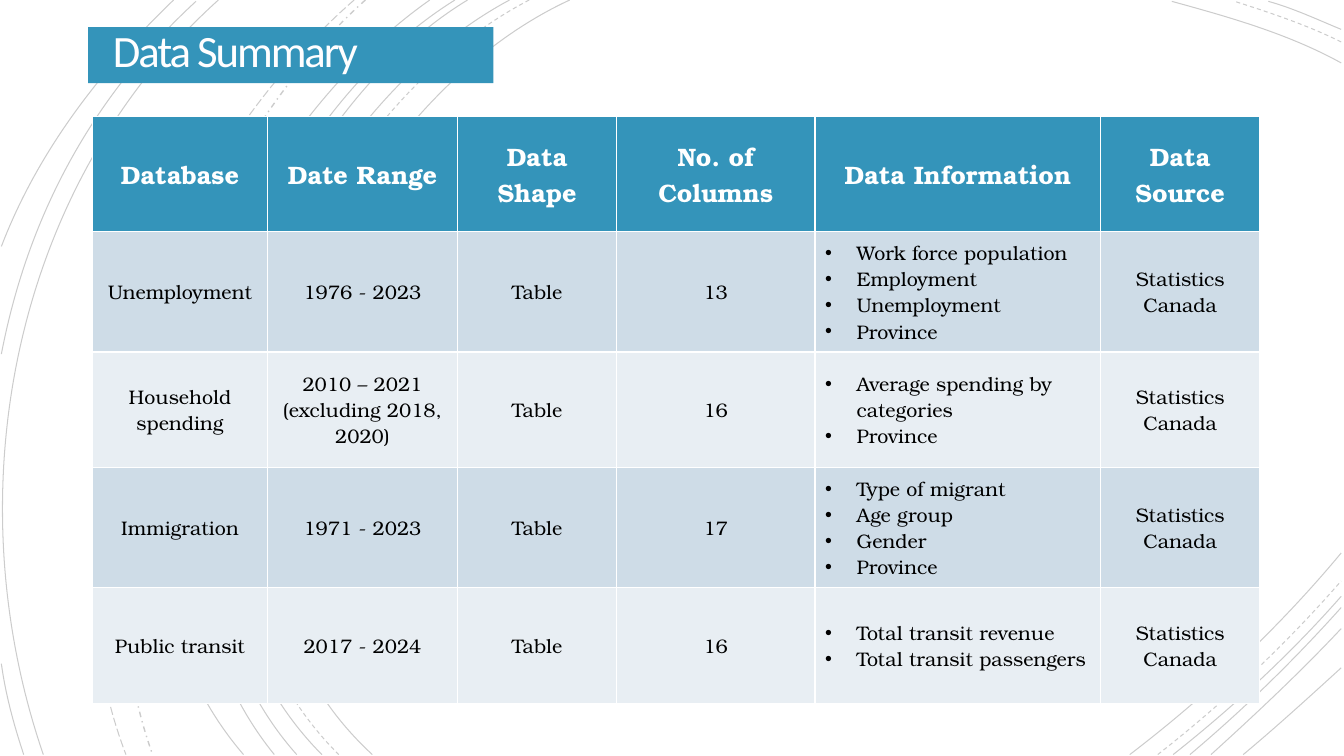
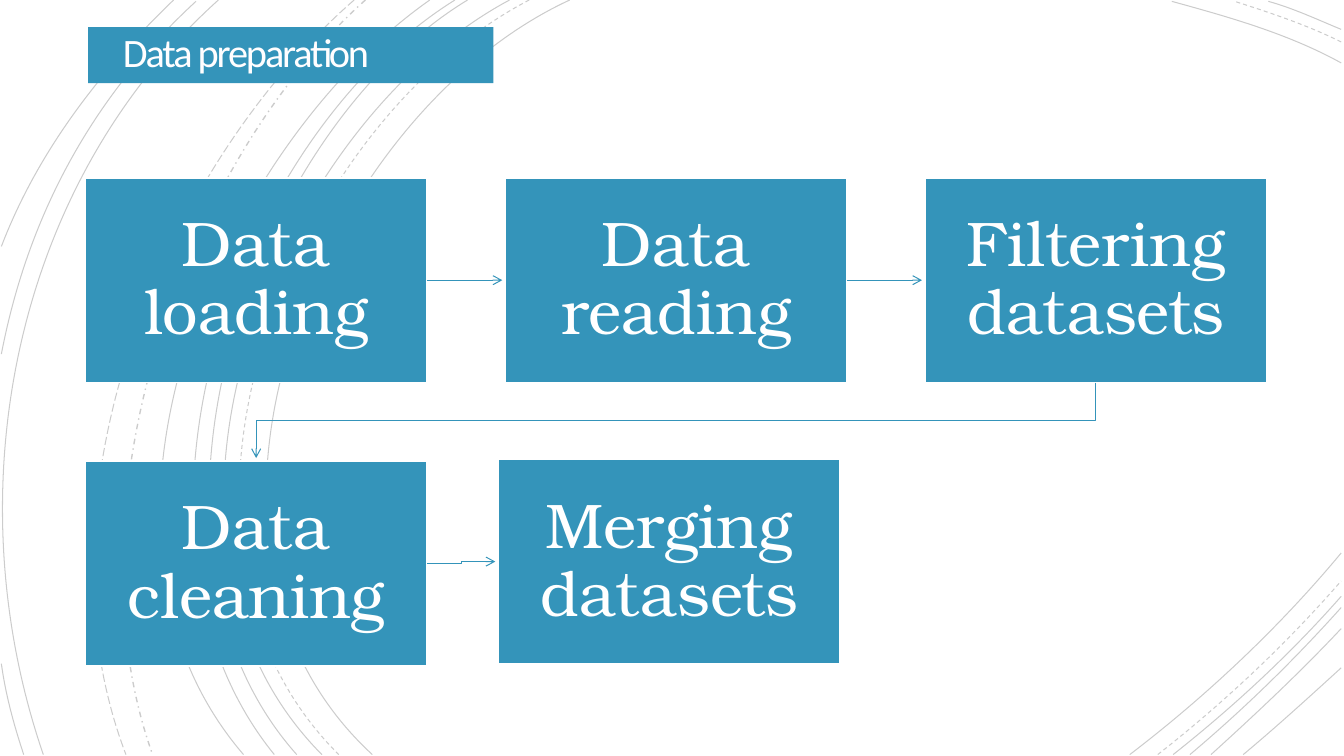
from pptx import Presentation
from pptx import util as u
from pptx.dml.color import RGBColor
from pptx.enum import dml, shapes, text
from pptx.oxml.ns import qn
from lxml import etree

Pt = u.Pt
HUE = {"blue": "3494BA", "white": "FFFFFF", "title": "FFFEFF", "black": "000000",
       "dark": "CEDCE7", "light": "E8EEF3"}
RGB = {name: RGBColor.from_string(code) for name, code in HUE.items()}
SERIF = "TeX Gyre Bonum"
SANS = "Calibri"


def sub(root, tag, **attrs):
    node = etree.SubElement(root, qn(tag))
    for key, val in attrs.items():
        node.set(key, str(val))
    return node


def style(para, size, hue, font=SERIF, bold=False, align=text.PP_ALIGN.CENTER):
    para.alignment = align
    for run in para.runs:
        run.font.size = Pt(size)
        run.font.name = font
        run.font.bold = bold
        run.font.color.rgb = RGB[hue]


prs = Presentation()
prs.slide_width, prs.slide_height = Pt(960), Pt(540)
layout = prs.slide_layouts[5]
titles = [("Data Summary", 32, 62.6, 26), ("Data preparation", 28.8, 69.8, 26.6)]
slides = []
for name, size, left, top in titles:
    slide = prs.slides.add_slide(layout)
    head = slide.shapes.title
    head.left, head.top, head.width, head.height = Pt(left), Pt(top), Pt(276), Pt(25)
    frame = head.text_frame
    frame.text = name
    frame.word_wrap = True
    frame.auto_size = text.MSO_AUTO_SIZE.NONE
    frame.vertical_anchor = text.MSO_ANCHOR.MIDDLE
    frame.margin_left = frame.margin_right = Pt(18)
    frame.margin_top = frame.margin_bottom = Pt(18)
    para = frame.paragraphs[0]
    para.line_spacing = 0.85
    style(para, size, "title", SANS, align=text.PP_ALIGN.LEFT)
    para.runs[0].font._element.set("spc", "-150")
    slides.append(slide)
data, prep = slides

LINE = dml.MSO_LINE
arcs = [
    (LINE.SOLID, 0.75, [
        (407, 0, 227, 83, 103, 389, 266, 539),
        (958, 45, 920, 24, 877, 12, 837, 1),
        (807, 539, 862, 497, 914, 448, 958, 395),
        (364, 0, 194, 91, 79, 387, 230, 539),
        (958, 21, 941, 14, 924, 6, 906, 1),
        (838, 539, 881, 505, 922, 467, 958, 426),
        (334, 0, 176, 96, 79, 390, 212, 539),
        (850, 539, 888, 507, 924, 472, 958, 434),
        (325, 0, 166, 99, 70, 384, 196, 539),
        (865, 539, 897, 510, 929, 480, 958, 449),
        (307, 0, 156, 106, 38, 381, 174, 539),
        (888, 539, 912, 519, 935, 498, 958, 477),
        (156, 0, 8, 133, -33, 353, 31, 539),
        (140, 1, 66, 69, 20, 154, 1, 253),
        (1, 474, 4, 496, 10, 518, 17, 539),
        (124, 0, 72, 50, 27, 108, 1, 176)]),
    (LINE.DASH, 0.75, [
        (378, 0, 205, 90, 89, 387, 242, 539),
        (958, 30, 934, 18, 907, 9, 882, 1),
        (827, 539, 873, 503, 918, 461, 958, 415)]),
    (LINE.DASH_DOT, 1, [(261, 0, 127, 120, 47, 366, 109, 539)]),
    (LINE.LONG_DASH, 0.75, [(253, 0, 113, 122, 21, 359, 90, 539)]),
]
decor = []
for dash, width, curves in arcs:
    for nums in curves:
        dots = [(Pt(x), Pt(y)) for x, y in zip(nums[::2], nums[1::2])]
        pen = data.shapes.build_freeform(*dots[0])
        pen.add_line_segments(dots[1:], close=False)
        arc = pen.convert_to_shape()
        trace = arc._element.spPr.find(".//" + qn("a:path"))
        legs = trace.findall(qn("a:lnTo"))
        curve = sub(trace, "a:cubicBezTo")
        for leg in legs:
            curve.append(leg[0])
            trace.remove(leg)
        arc.fill.background()
        arc.line.color.rgb = RGB["black"]
        arc.line.width = Pt(width)
        arc.line.dash_style = dash
        tint = arc.line._ln.find(".//" + qn("a:srgbClr"))
        sub(tint, "a:alpha", val=20000)
        decor.append(arc)

band = data.shapes.add_shape(shapes.MSO_SHAPE.RECTANGLE, Pt(63), Pt(19.4), Pt(289.5), Pt(40))
band.fill.solid()
band.fill.fore_color.rgb = RGB["blue"]
band.line.fill.background()
decor.append(band)
for num, part in enumerate(decor, 100):
    part.shadow.inherit = False
    part._element.nvSpPr.cNvPr.set("id", str(num))
    layout.shapes._spTree.append(part._element)

rows = [
    ["Database", "Date Range", "Data Shape", "No. of Columns", "Data Information", "Data Source"],
    ["Unemployment", "1976 - 2023", "Table", "13",
     "Work force population\nEmployment\nUnemployment\nProvince", "Statistics Canada"],
    ["Household spending", "2010 – 2021 (excluding 2018, 2020)", "Table", "16",
     "Average spending by categories\nProvince", "Statistics Canada"],
    ["Immigration", "1971 - 2023", "Table", "17",
     "Type of migrant\nAge group\nGender\nProvince", "Statistics Canada"],
    ["Public transit", "2017 - 2024", "Table", "16",
     "Total transit revenue\nTotal transit passengers", "Statistics Canada"],
]
wide = [124.6, 136.1, 113.4, 141.8, 204.2, 113.4]
high = [82.5, 86, 82.5, 86, 82.5]
grid = data.shapes.add_table(len(rows), len(wide), Pt(66.3), Pt(83), Pt(sum(wide)), Pt(sum(high))).table
for col, width in zip(grid.columns, wide):
    col.width = Pt(width)
for r, (row, height) in enumerate(zip(rows, high)):
    grid.rows[r].height = Pt(height)
    for c, words in enumerate(row):
        cell = grid.cell(r, c)
        cell.text_frame.text = words
        cell.vertical_anchor = text.MSO_ANCHOR.MIDDLE
        cell.fill.solid()
        cell.fill.fore_color.rgb = RGB["blue" if r == 0 else "dark" if r % 2 else "light"]
        for para in cell.text_frame.paragraphs:
            if r == 0:
                style(para, 18, "white", bold=True)
            elif c == 4:
                style(para, 14, "black", align=text.PP_ALIGN.LEFT)
                dent = para._p.get_or_add_pPr()
                dent.set("marL", str(Pt(22.5)))
                dent.set("indent", str(-Pt(22.5)))
                sub(dent, "a:buFont", typeface="Arial")
                sub(dent, "a:buChar", char="•")
            else:
                style(para, 14, "black")

W, H = 244, 146.3
steps = [("Data loading", 61, 127), ("Data reading", 361, 127), ("Filtering datasets", 660.8, 127),
         ("Data cleaning", 61, 329.4), ("Merging datasets", 356, 328)]
boxes = []
for name, left, top in steps:
    box = prep.shapes.add_shape(shapes.MSO_SHAPE.RECTANGLE, Pt(left), Pt(top), Pt(W), Pt(H))
    box.shadow.inherit = False
    box.fill.solid()
    box.fill.fore_color.rgb = RGB["blue"]
    box.line.color.rgb = RGB["white"]
    box.line.width = Pt(1.25)
    frame = box.text_frame
    frame.text = name
    frame.word_wrap = True
    frame.vertical_anchor = text.MSO_ANCHOR.MIDDLE
    frame.margin_left = frame.margin_right = Pt(25)
    frame.margin_top = frame.margin_bottom = Pt(25)
    frame.paragraphs[0].line_spacing = 0.9
    style(frame.paragraphs[0], 45, "white")
    boxes.append(box)

KIND = shapes.MSO_CONNECTOR
GAP = Pt(2.2)
for one, two in zip(boxes, boxes[1:]):
    if two.left > one.left:
        kind = KIND.STRAIGHT if one.top == two.top else KIND.ELBOW
        link = prep.shapes.add_connector(kind, one.left + one.width, one.top + one.height // 2,
                                         two.left - GAP, two.top + two.height // 2)
        link.begin_connect(one, 3)
    else:
        drop = two.top - one.top - one.height - GAP
        run = one.left - two.left
        midx = (one.left + two.left + one.width) // 2
        midy = one.top + one.height + drop // 2
        link = prep.shapes.add_connector(KIND.ELBOW, midx - drop // 2, midy - run // 2,
                                         midx + drop // 2, midy + run // 2)
        link._element.spPr.find(qn("a:xfrm")).set("rot", "5400000")
    link.line.color.rgb = RGB["blue"]
    link.line.width = Pt(0.75)
    sub(link.line._ln, "a:tailEnd", type="arrow")
    sub(link._element.spPr, "a:effectLst")

prs.save("out.pptx")
